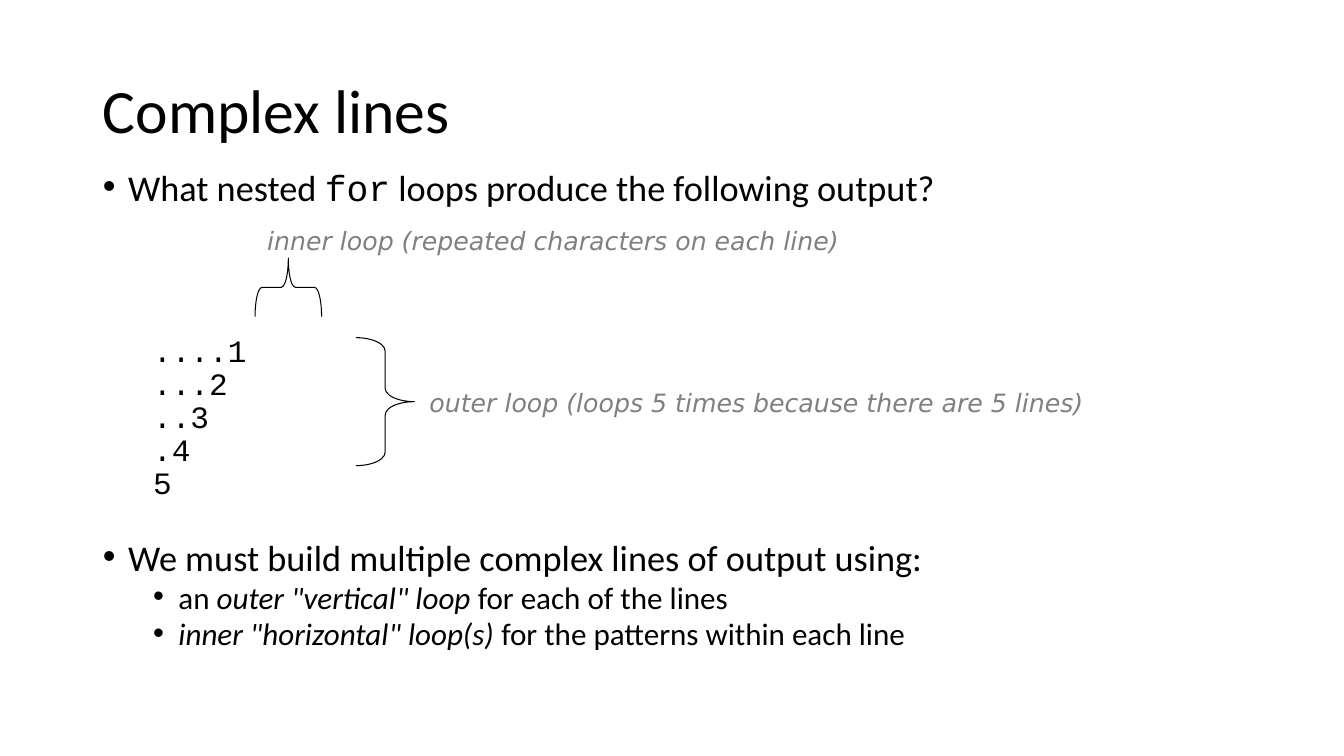
import pptx
import pptx.dml.color
import pptx.enum.shapes
import pptx.enum.text
import pptx.oxml
import pptx.util
from pptx.util import Inches

BLACK = pptx.dml.color.RGBColor(0, 0, 0)
GRAY = pptx.dml.color.RGBColor(0x80, 0x80, 0x80)
BODY, CODE, LABEL = "Calibri", "Courier New", "DejaVu Sans"
ANCHOR = pptx.enum.text.MSO_ANCHOR


def add_box(s, x, y, w, h, anchor=ANCHOR.TOP):
    tf = s.shapes.add_textbox(Inches(x), Inches(y), Inches(w), Inches(h)).text_frame
    tf.word_wrap = True
    tf.vertical_anchor = anchor
    tf.margin_left = tf.margin_right = tf.margin_top = tf.margin_bottom = 0
    return tf


def add_paragraph(tf, spacing, before=0):
    p = tf.paragraphs[0] if not tf.paragraphs[0].runs else tf.add_paragraph()
    p.line_spacing = spacing
    p.space_before = pptx.util.Pt(before)
    return p


def add_run(p, text, size, font=BODY, color=BLACK, italic=False):
    r = p.add_run()
    r.text = text
    r.font.size = pptx.util.Pt(size)
    r.font.name = font
    r.font.color.rgb = color
    r.font.italic = italic


def add_bullet(tf, size, runs, level=0):
    p = add_paragraph(tf, 0.8, 5 if level else 0)
    p.level = level
    pPr = p._p.get_or_add_pPr()
    pPr.set("marL", str(Inches(0.25 + 0.5 * level)))
    pPr.set("indent", str(Inches(-0.25)))
    ns = pptx.oxml.ns.nsdecls("a")
    pPr.append(pptx.oxml.parse_xml(f'<a:buFont {ns} typeface="Arial"/>'))
    pPr.append(pptx.oxml.parse_xml(f'<a:buChar {ns} char="•"/>'))
    for text, font, italic in runs:
        add_run(p, text, size, font, italic=italic)


def add_brace(s, x, y, w, h, curve, rotation=0):
    sp = s.shapes.add_shape(pptx.enum.shapes.MSO_SHAPE.RIGHT_BRACE,
                            Inches(x), Inches(y), Inches(w), Inches(h))
    sp.adjustments[0] = curve
    sp.rotation = rotation
    sp.shadow.inherit = False
    sp.fill.background()
    sp.line.color.rgb = BLACK
    sp.line.width = pptx.util.Pt(0.75)


def add_label(s, x, y, w, text):
    tf = add_box(s, x, y, w, 0.3, ANCHOR.MIDDLE)
    add_run(add_paragraph(tf, 1.0), text, 18, LABEL, GRAY, True)


def main():
    prs = pptx.Presentation()
    prs.slide_width, prs.slide_height = Inches(13.33), Inches(7.5)
    s = prs.slides.add_slide(prs.slide_layouts[6])

    title = add_box(s, 1.02, 0.4, 11.3, 1.45, ANCHOR.MIDDLE)
    add_run(add_paragraph(title, 0.9), "Complex lines", 44)

    question = add_box(s, 1.02, 1.72, 11.3, 0.4)
    add_bullet(question, 25.9, [("What nested ", BODY, False), ("for", CODE, False),
                                (" loops produce the following output?", BODY, False)])

    output = add_box(s, 1.52, 3.33, 1.8, 1.65)
    for n in range(1, 6):
        p = add_paragraph(output, pptx.util.Pt(23.6))
        add_run(p, "." * (5 - n) + str(n), 22.2, CODE)

    summary = add_box(s, 1.02, 5.39, 11.3, 1.2)
    add_bullet(summary, 25.9, [
        ("We must build multiple complex lines of output using:", BODY, False)])
    add_bullet(summary, 22.2, [("an ", BODY, False), ('outer "vertical" loop', BODY, True),
                               (" for each of the lines", BODY, False)], 1)
    add_bullet(summary, 22.2, [('inner "horizontal" loop(s)', BODY, True),
                               (" for the patterns within each line", BODY, False)], 1)

    add_brace(s, 3.53, 3.35, 0.58, 1.27, 0.23)
    add_label(s, 4.26, 3.84, 7.5, "outer loop (loops 5 times because there are 5 lines)")
    add_brace(s, 2.57, 2.52, 0.58, 0.66, 0.12, 270)
    add_label(s, 2.65, 2.24, 6.5, "inner loop (repeated characters on each line)")

    prs.save("out.pptx")


if __name__ == "__main__":
    main()
